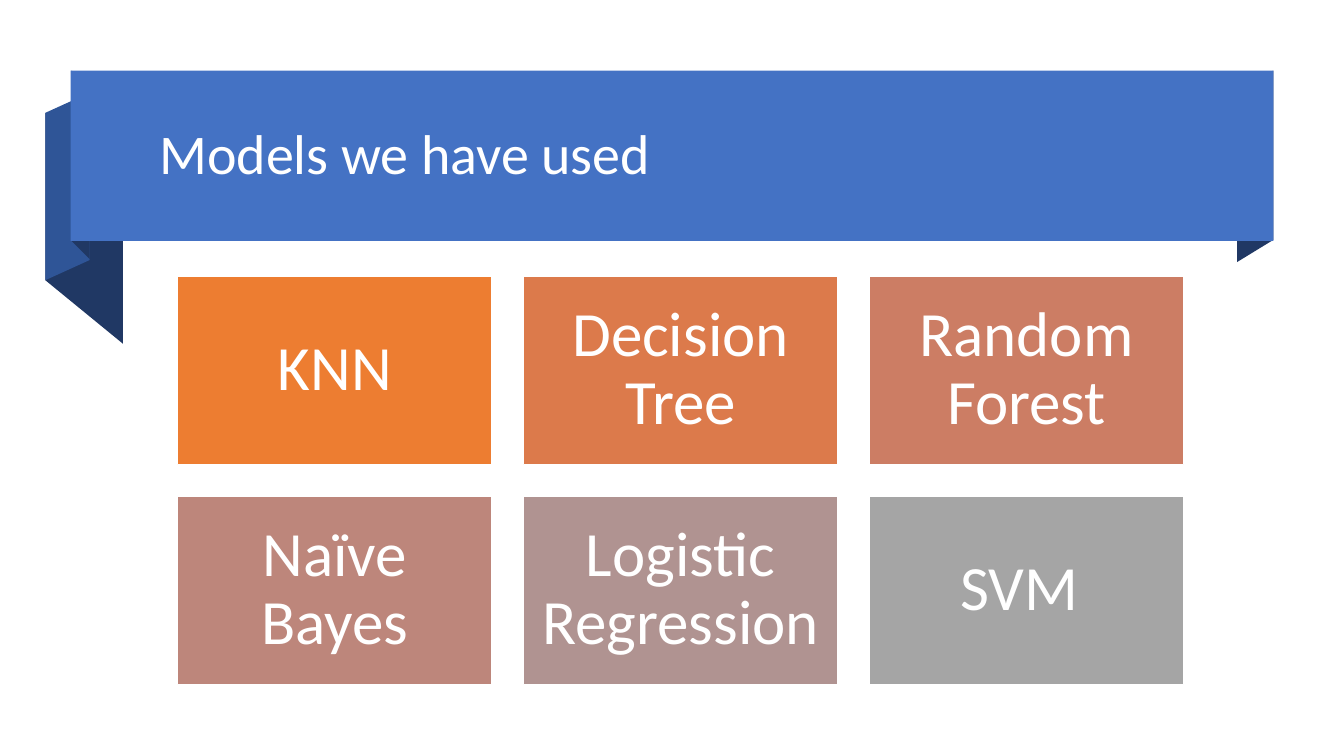
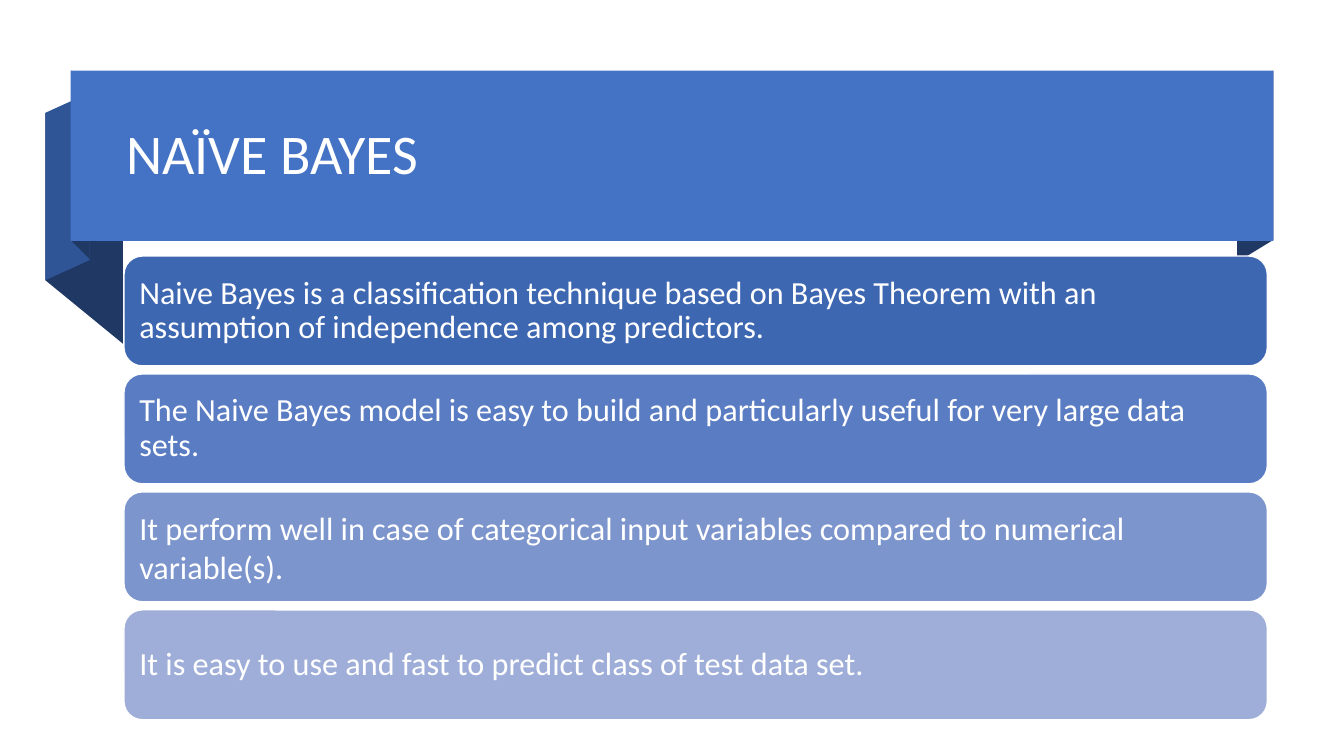
from pptx import Presentation
from pptx.dml.color import RGBColor
from pptx.enum.shapes import MSO_SHAPE
from pptx.enum.text import MSO_ANCHOR, MSO_AUTO_SIZE, PP_ALIGN
from pptx.util import Inches, Pt

FONT = "Calibri"
WHITE = RGBColor(0xFF, 0xFF, 0xFF)
RIBBON = RGBColor(0x44, 0x72, 0xC4)
RIBBON_SIDE = RGBColor(0x2F, 0x55, 0x97)
RIBBON_FOLD = RGBColor(0x20, 0x38, 0x64)

# Folded ends of the title ribbon, from back to front
FOLDS = [
    (RIBBON_FOLD, [(12.63, 2.38), (12.27, 2.6), (12.27, 0.91), (12.63, 0.7)]),
    (RIBBON_FOLD, [(1.22, 3.41), (0.45, 2.78), (0.45, 1.12), (1.22, 1.75)]),
    (RIBBON_SIDE, [(0.89, 2.58), (0.45, 2.78), (0.45, 1.12), (0.89, 0.92)]),
    (RIBBON_FOLD, [(0.89, 2.57), (0.71, 2.39), (0.71, 0.7), (0.89, 0.89)]),
]

MODELS = [
    ("KNN", RGBColor(0xED, 0x7D, 0x31)),
    ("Decision Tree", RGBColor(0xDC, 0x7A, 0x4B)),
    ("Random Forest", RGBColor(0xCC, 0x7D, 0x64)),
    ("Naïve Bayes", RGBColor(0xBD, 0x86, 0x7B)),
    ("Logistic Regression", RGBColor(0xB0, 0x93, 0x91)),
    ("SVM ", RGBColor(0xA5, 0xA5, 0xA5)),
]

# The third statement keeps "numerical variable(s)." together with no-break spaces
STATEMENTS = [
    ("Naive Bayes is a classification technique based on Bayes Theorem with an "
     "assumption of independence among predictors.", RGBColor(0x3E, 0x67, 0xB2), 0.9),
    ("The Naive Bayes model is easy to build and particularly useful for very "
     "large data sets.", RGBColor(0x5A, 0x7C, 0xC3), 0.9),
    ("It perform well in case of categorical input variables compared to "
     "numerical variable(s).", RGBColor(0x7D, 0x95, 0xCD), 1.0),
    ("It is easy to use and fast to predict class of test data set.",
     RGBColor(0x9F, 0xAE, 0xD8), 0.9),
]


def write(shape, text, size, align=PP_ALIGN.LEFT, inset=None, spacing=0.9):
    frame = shape.text_frame
    frame.word_wrap = True
    frame.auto_size = MSO_AUTO_SIZE.NONE
    frame.vertical_anchor = MSO_ANCHOR.MIDDLE
    if inset is not None:
        frame.margin_left = frame.margin_right = Inches(inset)
        frame.margin_top = frame.margin_bottom = Inches(inset)
    frame.text = text
    paragraph = frame.paragraphs[0]
    paragraph.alignment = align
    paragraph.line_spacing = spacing
    paragraph.font.name = FONT
    paragraph.font.size = Pt(size)
    paragraph.font.color.rgb = WHITE


def paint(shape, fill, outlined=False):
    shape.shadow.inherit = False
    shape.fill.solid()
    shape.fill.fore_color.rgb = fill
    if outlined:
        shape.line.color.rgb = WHITE
        shape.line.width = Pt(1)
    else:
        shape.line.fill.background()


prs = Presentation()
prs.slide_width, prs.slide_height = Inches(13.33), Inches(7.5)
title_only = prs.slide_layouts[5]

# Ribbon and title of both slides
for heading, left in [("Models we have used", 1.48), ("NAÏVE BAYES", 1.15)]:
    slide = prs.slides.add_slide(title_only)
    for color, corners in FOLDS:
        points = [(Inches(x), Inches(y)) for x, y in corners]
        outline = slide.shapes.build_freeform(*points[0])
        outline.add_line_segments(points[1:], close=True)
        paint(outline.convert_to_shape(), color)
    band = slide.shapes.add_shape(
        MSO_SHAPE.RECTANGLE, Inches(0.7), Inches(0.7), Inches(11.93), Inches(1.69))
    paint(band, RIBBON)

    title = slide.shapes.title
    title.left, title.top = Inches(left), Inches(0.83)
    title.width, title.height = Inches(12.42 - left), Inches(1.45)
    write(title, heading, 40)
    band.element.addnext(title.element)  # bring the title in front of the ribbon

models_slide, bayes_slide = prs.slides

# Models: grid of three columns
for index, (model, color) in enumerate(MODELS):
    row, column = divmod(index, 3)
    tile = models_slide.shapes.add_shape(
        MSO_SHAPE.RECTANGLE, Inches(1.76 + 3.43 * column), Inches(2.74 + 2.18 * row),
        Inches(3.12), Inches(1.87))
    paint(tile, color, outlined=True)
    write(tile, model, 45, align=PP_ALIGN.CENTER, inset=0.18)

# Naïve Bayes: stacked statements
for index, (statement, color, spacing) in enumerate(STATEMENTS):
    bar = bayes_slide.shapes.add_shape(
        MSO_SHAPE.ROUNDED_RECTANGLE, Inches(1.23), Inches(2.54 + 1.17 * index),
        Inches(11.34), Inches(1.09))
    paint(bar, color, outlined=True)
    write(bar, statement, 23, inset=0.1, spacing=spacing)

prs.save("out.pptx")
